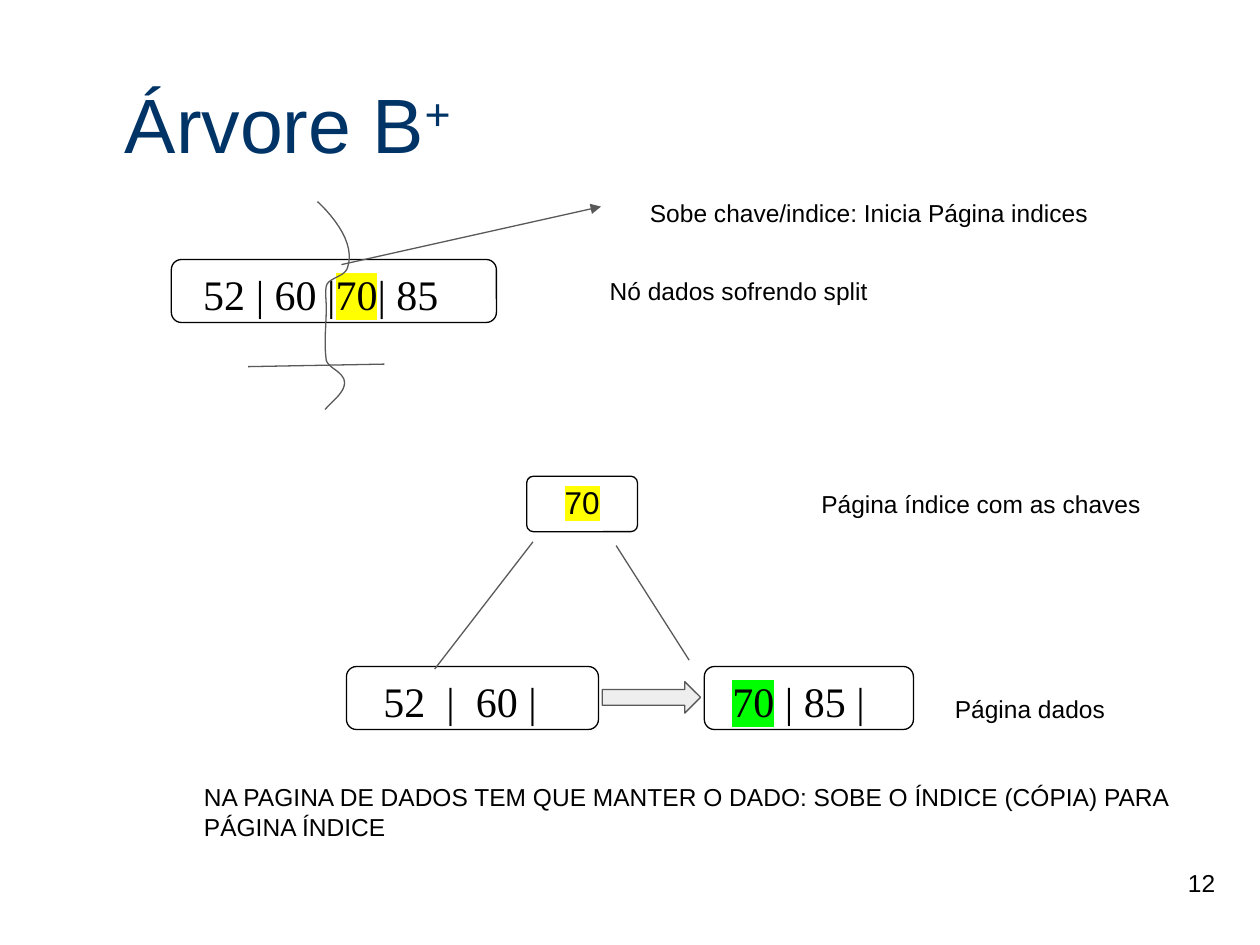
from pptx import Presentation
from pptx import util as u
from pptx.dml.color import RGBColor
from pptx.enum import dml, shapes, text
from pptx.oxml.ns import qn
from lxml import etree

COLORS = {"ink": "000000", "title": "003366", "line": "595959",
          "arrow": "EEEEEE", "yellow": "FFFF00", "green": "00FF00"}
SERIF, SANS = "Times New Roman", "Arial"
LEFT, MID = text.PP_ALIGN.LEFT, text.PP_ALIGN.CENTER

TITLE = [("Árvore B", None), ("+", None)]
NODES = [
    ((4.18, 3.78, 0.88, 0.44), (0, 0.04), 0.12, SANS, 18, MID, [("70", "yellow")]),
    ((5.59, 5.29, 1.66, 0.5), (0.2, 0.05), 0.16, SERIF, 24, LEFT,
     [("70", "green"), (" | 85 |", None)]),
    ((2.75, 5.29, 2, 0.5), (0.27, 0.05), 0.16, SERIF, 24, LEFT,
     [("52  |  60 |", None)]),
    ((1.36, 2.06, 2.58, 0.5), (0.23, 0.05), 0.16, SERIF, 24, LEFT,
     [("52 | 60 |", None), ("70", "yellow"), ("| 85", None)]),
]
LABELS = [
    ((5.06, 1.47, 3.8, 0.44), "Sobe chave/indice: Inicia Página indices"),
    ((4.74, 2.09, 3.89, 0.44), "Nó dados sofrendo split"),
    ((6.42, 3.78, 2.97, 0.44), "Página índice com as chaves"),
    ((7.48, 5.41, 2.56, 0.44), "Página dados"),
    ((1.52, 6.11, 8.52, 0.67), "NA PAGINA DE DADOS TEM QUE MANTER O DADO: "
     "SOBE O ÍNDICE (CÓPIA) PARA PÁGINA ÍNDICE"),
    ((9.33, 6.79, 0.5, 0.44), "12"),
]
LINES = [
    ((4.23, 4.3), (3.45, 5.31), False),
    ((4.89, 4.33), (5.47, 5.24), False),
    ((1.97, 2.91), (3.05, 2.89), False),
    ((2.71, 2.1), (4.77, 1.64), True),
]
SPLIT = [(2.52, 1.6),
         (2.66, 1.73), (2.82, 1.94), (2.76, 2.12),
         (2.74, 2.2), (2.61, 2.2), (2.59, 2.27),
         (2.58, 2.33), (2.59, 2.39), (2.59, 2.44),
         (2.59, 2.58), (2.57, 2.72), (2.59, 2.86),
         (2.61, 2.92), (2.7, 2.94), (2.73, 3.01),
         (2.76, 3.1), (2.64, 3.18), (2.58, 3.25)]
STEPS = 12

deck = Presentation()
deck.slide_width, deck.slide_height = u.Inches(10), u.Inches(7.5)
slide = deck.slides.add_slide(deck.slide_layouts[5])


def rgb(name):
    return RGBColor.from_string(COLORS[name])


def inch(vals):
    return [u.Inches(v) for v in vals]


def stroke(line, name):
    line.color.rgb = rgb(name)
    line.width = u.Pt(0.75)


def write(frame, runs, font, size, color="ink", align=LEFT, pad=(0.1, 0.1)):
    frame.word_wrap = True
    frame.auto_size = text.MSO_AUTO_SIZE.NONE
    frame.vertical_anchor = text.MSO_ANCHOR.TOP
    frame.margin_left = frame.margin_right = u.Inches(pad[0])
    frame.margin_top = frame.margin_bottom = u.Inches(pad[1])
    if align == LEFT and pad[0] > 0.1:
        frame.margin_right = 0
    para = frame.paragraphs[0]
    para.alignment = align
    for words, mark in runs:
        run = para.add_run()
        run.text = words
        run.font.size = u.Pt(size)
        run.font.color.rgb = rgb(color)
        if mark:
            tag = etree.Element(qn("a:highlight"))
            etree.SubElement(tag, qn("a:srgbClr"), val=COLORS[mark])
            run.font._element.find(qn("a:solidFill")).addnext(tag)
        run.font.name = font
    return para


def curve(pts):
    for i in range(0, len(pts) - 1, 3):
        a, b, c, d = pts[i:i + 4]
        for k in range(1, STEPS + 1):
            t = k / STEPS
            s = 1 - t
            yield tuple(u.Inches(s**3 * p + 3 * s * s * t * q + 3 * s * t * t * r + t**3 * e)
                        for p, q, r, e in zip(a, b, c, d))


title = slide.shapes.title
title.left, title.top, title.width, title.height = inch((0.87, 0.51, 3.28, 0.94))
head = write(title.text_frame, TITLE, SANS, 44, "title", pad=(0.12, 0.1))
head.runs[1].font._element.set("baseline", "30000")

for box, pad, curl, font, size, align, runs in NODES:
    node = slide.shapes.add_shape(shapes.MSO_SHAPE.ROUNDED_RECTANGLE, *inch(box))
    node.adjustments[0] = curl
    node.shadow.inherit = False
    node.fill.background()
    stroke(node.line, "ink")
    write(node.text_frame, runs, font, size, align=align, pad=pad)

for box, words in LABELS:
    label = slide.shapes.add_textbox(*inch(box))
    write(label.text_frame, [(words, None)], SANS, 14)

arrow = slide.shapes.add_shape(shapes.MSO_SHAPE.RIGHT_ARROW, *inch((4.78, 5.41, 0.78, 0.25)))
arrow.shadow.inherit = False
arrow.fill.solid()
arrow.fill.fore_color.rgb = rgb("arrow")
stroke(arrow.line, "line")

pen = slide.shapes.build_freeform(*inch(SPLIT[0]))
pen.add_line_segments(list(curve(SPLIT)), close=False)
split = pen.convert_to_shape()
split.shadow.inherit = False
split.fill.background()
stroke(split.line, "line")

for start, end, tip in LINES:
    link = slide.shapes.add_connector(shapes.MSO_CONNECTOR.STRAIGHT, *inch(start + end))
    stroke(link.line, "line")
    props = link._element.spPr
    if tip:
        etree.SubElement(props.find(qn("a:ln")), qn("a:tailEnd"), type="triangle")
    etree.SubElement(props, qn("a:effectLst"))

deck.save("out.pptx")
